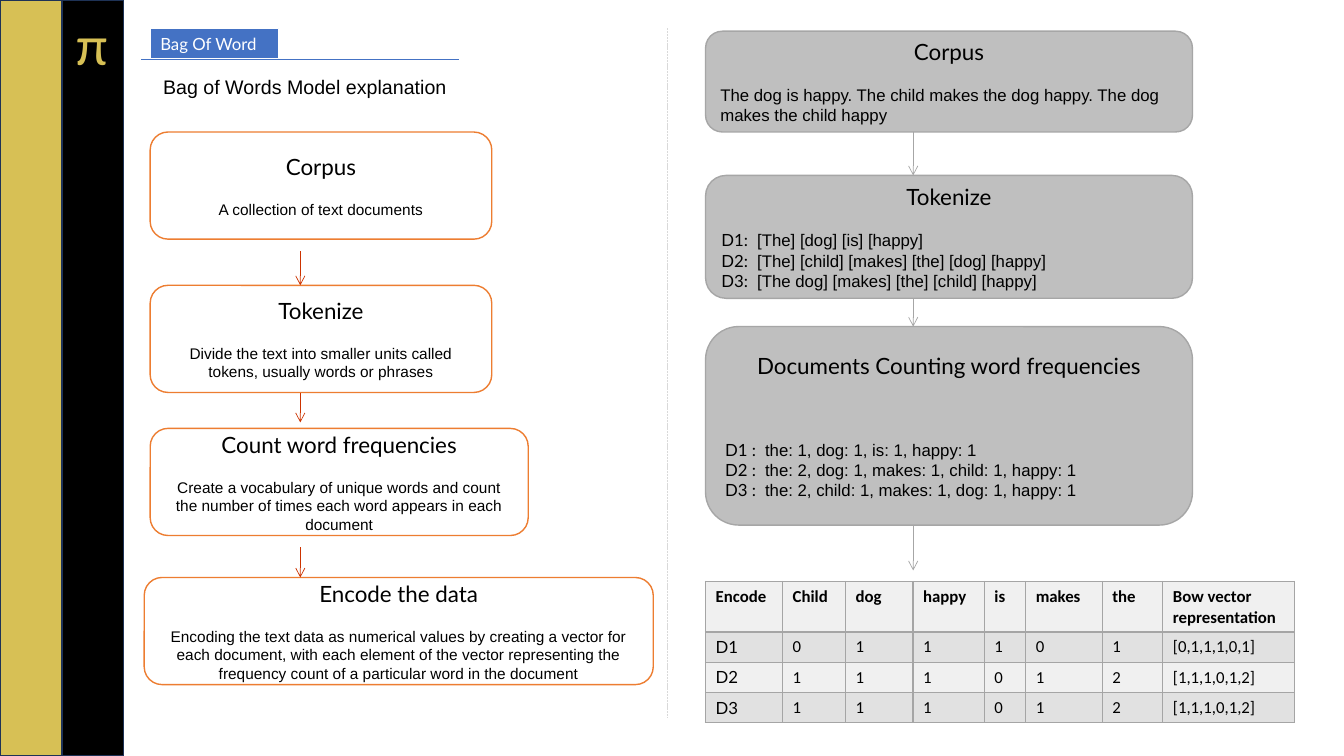
import pptx
import pptx.dml.color
import pptx.enum.dml
import pptx.enum.shapes
import pptx.enum.text
import pptx.oxml
import pptx.oxml.ns
import pptx.util

Pt = pptx.util.Pt
SHAPES = pptx.enum.shapes.MSO_SHAPE
ALIGN = pptx.enum.text.PP_ALIGN
ANCHOR = pptx.enum.text.MSO_ANCHOR
COLOURS = {
    "gold": "D7C055", "black": "000000", "navy": "1E3256", "white": "FFFFFF",
    "blue": "4472C4", "orange": "ED7D31", "red": "CC3300", "panel": "BFBFBF",
    "edge": "A6A6A6", "divider": "D9D9D9", "border": "A5A5A5",
    "light": "F0F0F0", "dark": "E1E1E1",
}
BLANK_LINE = 14.4

STEPS = [
    (4.3, 0, 244, "Corpus", ["A collection of text documents"]),
    (4.3, 109.5, 244, "Tokenize",
     ["Divide the text into smaller units called", "tokens, usually words or phrases"]),
    (4.3, 211.7, 270, "Count word frequencies",
     ["Create a vocabulary of unique words and count the number of times "
      "each word appears in each document"]),
    (0, 318.2, 363.6, "Encode the data",
     ["Encoding the text data as numerical values by creating a vector for each "
      "document, with each element of the vector representing the frequency count "
      "of a particular word in the document"]),
]
STEP_ARROWS = [(85, 109.5), (186.5, 207.4), (296.7, 318.2)]

EXAMPLES = [
    (0, 72, "Corpus", 1, 0,
     [("", "The dog is happy. The child makes the dog happy. The dog makes the child happy")]),
    (103, 87.8, "Tokenize", 1, 25.5,
     [("D1:", "[The] [dog] [is] [happy]"),
      ("D2:", "[The] [child] [makes] [the] [dog] [happy]"),
      ("D3:", "[The dog] [makes] [the] [child] [happy]")]),
    (211, 141.8, "Documents Counting word frequencies", 3, 28.5,
     [("D1 :", "the: 1, dog: 1, is: 1, happy: 1"),
      ("D2 :", "the: 2, dog: 1, makes: 1, child: 1, happy: 1"),
      ("D3 :", "the: 2, child: 1, makes: 1, dog: 1, happy: 1")]),
]
EXAMPLE_ARROWS = [(72, 103), (190.8, 211), (353.2, 385.2)]

VECTOR_COLUMNS = [55, 45, 48.2, 51, 29.5, 54.7, 43.3, 94.3]
VECTOR_ROWS = [
    ["Encode", "Child", "dog", "happy", "is", "makes", "the", "Bow vector\nrepresentation"],
    ["D1", "0", "1", "1", "1", "0", "1", "[0,1,1,1,0,1]"],
    ["D2", "1", "1", "1", "0", "1", "2", "[1,1,1,0,1,2]"],
    ["D3", "1", "1", "1", "0", "1", "2", "[1,1,1,0,1,2]"],
]


def rgb(name):
    """Return the named colour."""
    return pptx.dml.color.RGBColor.from_string(COLOURS[name])


def style_font(font, face, size, colour="black", bold=False):
    """Set the face, size, colour and weight of a font."""
    font.name, font.size, font.bold = face, Pt(size), bold
    font.color.rgb = rgb(colour)


def style_box(box, fill, line, width=1):
    """Fill and outline a box."""
    box.fill.solid()
    box.fill.fore_color.rgb = rgb(fill)
    box.line.color.rgb = rgb(line)
    box.line.width = Pt(width)


def add_box(page, kind, left, top, width, height, fill, line):
    """Add a flat preset shape."""
    box = page.shapes.add_shape(kind, Pt(left), Pt(top), Pt(width), Pt(height))
    box.shadow.inherit = False
    style_box(box, fill, line)
    return box


def add_label(page, left, top, width, height, text, face, size, colour, wrap=True):
    """Add a one-line text box."""
    box = page.shapes.add_textbox(Pt(left), Pt(top), Pt(width), Pt(height))
    box.text_frame.text = text
    box.text_frame.word_wrap = wrap
    style_font(box.text_frame.paragraphs[0].runs[0].font, face, size, colour)


def add_line(page, start, end, colour, arrow=False):
    """Add a thin straight line, with an open arrowhead if asked."""
    line = page.shapes.add_connector(
        pptx.enum.shapes.MSO_CONNECTOR.STRAIGHT, *[Pt(value) for value in start + end])
    line.line.color.rgb = rgb(colour)
    line.line.width = Pt(0.5)
    properties = line._element.spPr
    if arrow:
        outline = properties.find(pptx.oxml.ns.qn("a:ln"))
        pptx.oxml.ns.qn("a:tailEnd")
        outline.append(pptx.oxml.parse_xml(
            f'<a:tailEnd {pptx.oxml.ns.nsdecls("a")} type="arrow"/>'))
    properties.append(pptx.oxml.parse_xml(f'<a:effectLst {pptx.oxml.ns.nsdecls("a")}/>'))
    return line


def add_card(page, left, top, width, height, fill, line, heading):
    """Add a rounded card with a centred heading."""
    card = add_box(page, SHAPES.ROUNDED_RECTANGLE, left, top, width, height, fill, line)
    frame = card.text_frame
    frame.word_wrap = True
    frame.vertical_anchor = ANCHOR.MIDDLE
    frame.text = heading
    frame.paragraphs[0].alignment = ALIGN.CENTER
    style_font(frame.paragraphs[0].runs[0].font, "Lato", 16)
    return frame


def draw_side_band(page, left, top, width, height):
    """Draw the gold and black band with its symbol."""
    add_box(page, SHAPES.RECTANGLE, left, top, width, height, "gold", "navy")
    add_box(page, SHAPES.RECTANGLE, left + width / 2, top, width / 2, height, "black", "navy")
    add_label(page, left + 47.5, top + 3.6, 34.6, 55.4, "π", "Calibri", 40, "gold")


def draw_header(page, left, top, width):
    """Place the title tag, its rule and the subtitle."""
    title = page.shapes.title
    title.left, title.top = Pt(left + 6.5), Pt(top)
    title.width, title.height = Pt(92), Pt(21.6)
    style_box(title, "blue", "white", 0.75)
    frame = title.text_frame
    frame.text = "Bag Of Word"
    frame.auto_size = pptx.enum.text.MSO_AUTO_SIZE.NONE
    frame.vertical_anchor = ANCHOR.TOP
    frame.paragraphs[0].alignment = ALIGN.LEFT
    style_font(frame.paragraphs[0].runs[0].font, "Lato", 12, "white")
    add_line(page, (left, top + 22), (left + width, top + 22), "blue")
    add_label(page, left + 8.6, top + 29.5, 218, 24.5,
              "Bag of Words Model explanation", "Arial", 14, "black", wrap=False)


def draw_steps(page, left, top):
    """Draw the column that explains the four steps."""
    for shift, drop, width, heading, lines in STEPS:
        frame = add_card(page, left + shift, top + drop, width, 76.5,
                         "white", "orange", heading)
        for index, line in enumerate(lines):
            para = frame.add_paragraph()
            para.text = line
            para.alignment = ALIGN.CENTER
            para.space_before = Pt(0 if index else BLANK_LINE)
            style_font(para.runs[0].font, "Arial", 11)
    for start, end in STEP_ARROWS:
        add_line(page, (left + 111.5, top + start), (left + 111.5, top + end), "red", True)


def draw_examples(page, left, top, width):
    """Draw the column that works through an example."""
    for drop, height, heading, gap, tab, lines in EXAMPLES:
        frame = add_card(page, left, top + drop, width, height, "panel", "edge", heading)
        for index, (label, text) in enumerate(lines):
            para = frame.add_paragraph()
            para.alignment = ALIGN.LEFT
            para.space_before = Pt(0 if index else gap * BLANK_LINE)
            if label:
                para._p.get_or_add_pPr().append(pptx.oxml.parse_xml(
                    f'<a:tabLst {pptx.oxml.ns.nsdecls("a")}>'
                    f'<a:tab pos="{Pt(tab)}" algn="l"/></a:tabLst>'))
                span = para.add_run()
                span.text = label + "\t"
                style_font(span.font, "Lato", 12)
            span = para.add_run()
            span.text = text
            style_font(span.font, "Arial", 12)
    for start, end in EXAMPLE_ARROWS:
        add_line(page, (left + 148.3, top + start), (left + 148.3, top + end), "edge", True)


def draw_vectors(page, left, top):
    """Draw the table of encoded vectors."""
    table = page.shapes.add_table(
        len(VECTOR_ROWS), len(VECTOR_COLUMNS), Pt(left), Pt(top),
        Pt(sum(VECTOR_COLUMNS)), Pt(100.8)).table
    for column, width in zip(table.columns, VECTOR_COLUMNS):
        column.width = Pt(width)
    for r, texts in enumerate(VECTOR_ROWS):
        table.rows[r].height = Pt(21.6 if r else 36)
        for c, text in enumerate(texts):
            cell = table.cell(r, c)
            cell.text = text
            cell.fill.solid()
            cell.fill.fore_color.rgb = rgb("dark" if r % 2 else "light")
            for para in cell.text_frame.paragraphs:
                style_font(para.runs[0].font, "Lato" if r and not c else "Calibri", 12, bold=not r)
            for position, side in enumerate("LRTB"):
                cell._tc.get_or_add_tcPr().insert(position, pptx.oxml.parse_xml(
                    f'<a:ln{side} {pptx.oxml.ns.nsdecls("a")} w="{Pt(1)}"><a:solidFill>'
                    f'<a:srgbClr val="{COLOURS["border"]}"/></a:solidFill></a:ln{side}>'))


def main():
    """Build and save the slide."""
    deck = pptx.Presentation()
    deck.slide_width, deck.slide_height = Pt(960), Pt(540)
    page = deck.slides.add_slide(deck.slide_layouts[5])
    draw_side_band(page, 0, 0, 88.4, 540)
    draw_header(page, 100.8, 20.2, 226.8)
    draw_steps(page, 103, 94.3)
    divider = add_line(page, (476.6, 20.2), (476.6, 512.6), "divider")
    divider.line.dash_style = pptx.enum.dml.MSO_LINE.SQUARE_DOT
    draw_vectors(page, 504, 415.4)
    draw_examples(page, 504, 22.3, 347.8)
    deck.save("out.pptx")


if __name__ == "__main__":
    main()
